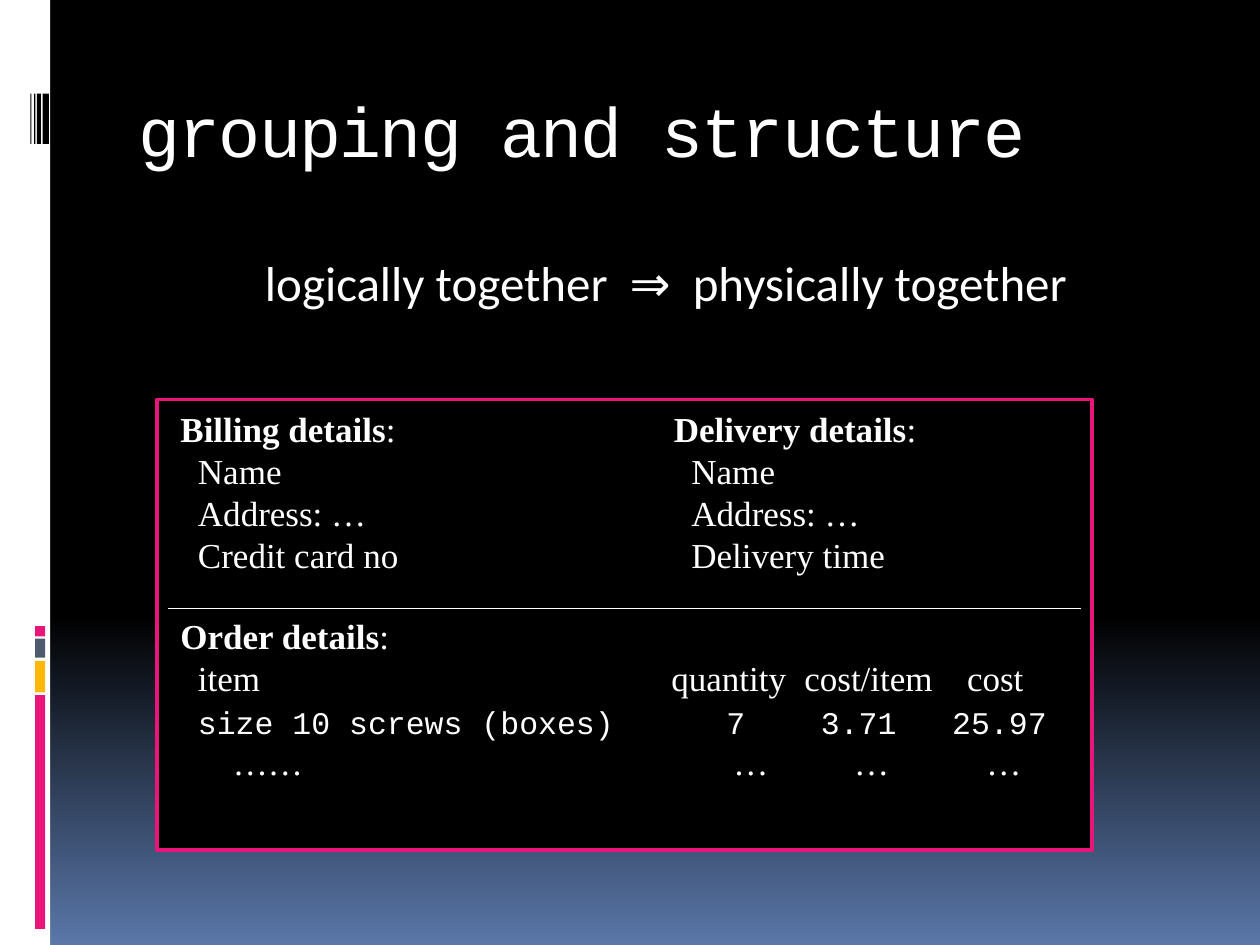
from copy import deepcopy

from lxml import etree
from pptx import Presentation
from pptx.dml.color import RGBColor
from pptx.enum.shapes import MSO_CONNECTOR, MSO_SHAPE
from pptx.enum.text import MSO_ANCHOR, PP_ALIGN
from pptx.oxml.ns import qn
from pptx.util import Pt

RECT = MSO_SHAPE.RECTANGLE
STRAIGHT = MSO_CONNECTOR.STRAIGHT
TOP, MIDDLE = MSO_ANCHOR.TOP, MSO_ANCHOR.MIDDLE
CENTER = PP_ALIGN.CENTER

BLACK = RGBColor(0x00, 0x00, 0x00)
WHITE = RGBColor(0xFF, 0xFF, 0xFF)
BLUE = RGBColor(0x5A, 0x77, 0xA9)
PINK = RGBColor(0xEA, 0x15, 0x7A)
AMBER = RGBColor(0xFE, 0xB8, 0x0A)
SLATE = RGBColor(0x4E, 0x5B, 0x6F)

SANS, MONO, SERIF = "Calibri", "Courier New", "Times New Roman"
BLOCKS = [(357.8, 9 * 0.65, PINK), (365, 10.8, SLATE), (377.7, 18, AMBER), (397.3, 133.5, PINK)]
STRIPES = [(17.3, 0.6), (19.5, 0.8), (21.1, 2.3), (24.4, 3.6)]
ORDER_ROWS = [
    (["item", "quantity", "cost/item", "cost"], [10, 280.5, 356.5, 449.5], SERIF, 20),
    (["size 10 screws (boxes)", "7", "3.71", "25.97"], [10, 312, 366, 441], MONO, 18),
    (["……", "…", "…", "…"], [30, 316, 385, 460.5], SERIF, 20),
]


def paint_background(s):
    """Fill the slide with black that fades to blue at the bottom."""
    fill = s.background.fill
    fill.gradient()
    fill.gradient_angle = 270
    first, last = fill.gradient_stops
    first.color.rgb, first.position = BLACK, 0
    last.color.rgb, last.position = BLUE, 1
    stops = next(s.element.iter(qn("a:gsLst")))
    middle = deepcopy(stops[0])
    middle.set("pos", "65000")
    stops.insert(1, middle)


def add_rect(s, x, y, w, h, color):
    """Add a plain filled rectangle."""
    sp = s.shapes.add_shape(RECT, Pt(x), Pt(y), Pt(w), Pt(h))
    sp.shadow.inherit = False
    sp.fill.solid()
    sp.fill.fore_color.rgb = color
    sp.line.fill.background()
    return sp


def add_text_box(s, x, y, w, h, anchor=TOP):
    """Add a wrapping text box and return its text frame."""
    tf = s.shapes.add_textbox(Pt(x), Pt(y), Pt(w), Pt(h)).text_frame
    tf.word_wrap = True
    tf.vertical_anchor = anchor
    return tf


def set_font(p, name, size):
    """Give a paragraph its white font."""
    p.font.name, p.font.size = name, Pt(size)
    p.font.color.rgb = WHITE


def add_sidebar(s, x, y, w, h):
    """Add the white side strip with its stripes and coloured blocks."""
    add_rect(s, x, y, w, h, WHITE)
    for top, height, color in BLOCKS:
        add_rect(s, x + 20, y + top, 5.8, height, color)
    for left, width in STRIPES:
        add_rect(s, x + left, y + 53.5, width, 28.8, BLACK)


def add_title(s, x, y, w, h):
    """Add the slide title."""
    p = add_text_box(s, x, y, w, h, MIDDLE).paragraphs[0]
    r = p.add_run()
    r.text = "grouping and structure"
    r._r.get_or_add_rPr().set("spc", "-100")
    set_font(p, MONO, 40)


def add_principle(s, x, y, w, h):
    """Add the centred statement under the title."""
    p = add_text_box(s, x, y, w, h).paragraphs[0]
    p.text = "logically together  ⇒  physically together"
    p.alignment = CENTER
    set_font(p, SANS, 28)


def add_heading(tf, text):
    """Write a bold heading with a plain colon in the first paragraph."""
    p = tf.paragraphs[0]
    r = p.add_run()
    r.text = text
    r.font.bold = True
    p.add_run().text = ":"
    p.line_spacing = Pt(24)
    set_font(p, SERIF, 20)


def add_details(s, x, y, w, h, heading, fields):
    """Add a heading with indented fields below it."""
    tf = add_text_box(s, x, y, w, h)
    add_heading(tf, heading)
    for field in fields:
        p = tf.add_paragraph()
        p.text = field
        p.line_spacing = Pt(24)
        p._p.get_or_add_pPr().set("marL", str(Pt(10)))
        set_font(p, SERIF, 20)


def add_order(s, x, y, w, h):
    """Add the order heading and its rows, aligned on tab stops."""
    tf = add_text_box(s, x, y, w, h)
    add_heading(tf, "Order details")
    for cells, stops, font, size in ORDER_ROWS:
        p = tf.add_paragraph()
        p.add_run().text = "".join("\t" + cell for cell in cells)
        p.line_spacing = Pt(24)
        tabs = etree.SubElement(p._p.get_or_add_pPr(), qn("a:tabLst"))
        for stop in stops:
            etree.SubElement(tabs, qn("a:tab"), pos=str(Pt(stop)), algn="l")
        set_font(p, font, size)


def add_form(s, x, y, w, h):
    """Add the framed form with billing, delivery and order details."""
    frame = add_rect(s, x, y, w, h, BLACK)
    frame.line.color.rgb = PINK
    frame.line.width = Pt(2.25)
    add_details(s, x + 6, y + 1, 229, 103, "Billing details",
                ["Name", "Address: …", "Credit card no"])
    add_details(s, x + 288, y + 1, 229, 103, "Delivery details",
                ["Name", "Address: …", "Delivery time"])
    rule = y + 119.5
    line = s.shapes.add_connector(STRAIGHT, Pt(x + 6), Pt(rule), Pt(x + w - 6), Pt(rule))
    line.line.color.rgb = WHITE
    line.line.width = Pt(1)
    etree.SubElement(line._element.spPr, qn("a:effectLst"))
    add_order(s, x + 6, rule, w - 6, 127.5)


def main():
    """Build the slide and save it."""
    prs = Presentation()
    prs.slide_width, prs.slide_height = Pt(720), Pt(540)
    s = prs.slides.add_slide(prs.slide_layouts[6])
    paint_background(s)
    add_sidebar(s, 0, 0, 28.6, 540)
    add_title(s, 72, 38, 612, 72)
    add_principle(s, 77, 140.5, 607, 48)
    add_form(s, 90, 228.3, 534, 257.5)
    prs.save("out.pptx")


if __name__ == "__main__":
    main()
